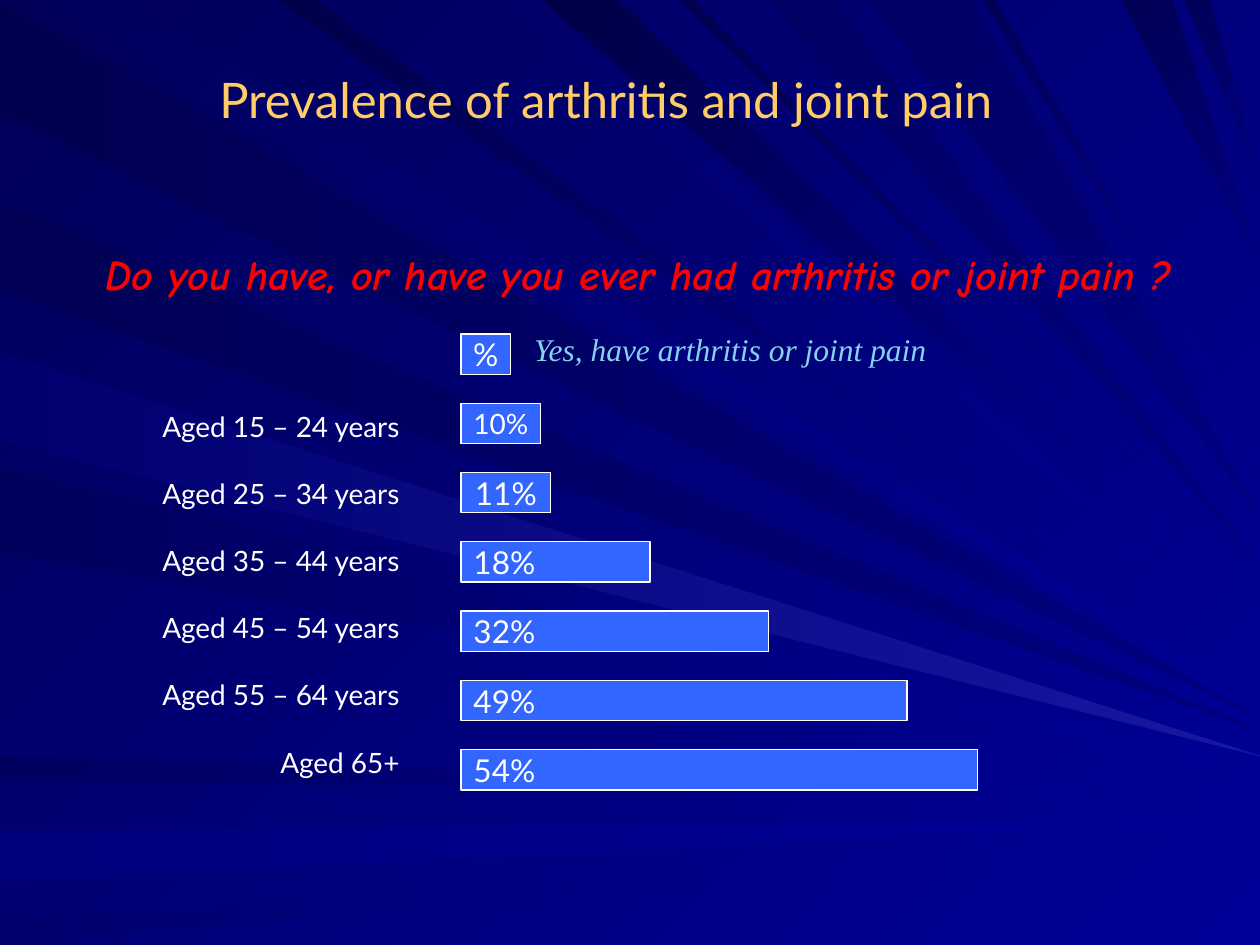
"""Builds the slide on how common arthritis and joint pain are by age."""
from dataclasses import dataclass
from typing import NamedTuple

from pptx import Presentation
from pptx.dml.color import RGBColor as Rgb
from pptx.enum.shapes import MSO_SHAPE as Kind
from pptx.enum.text import MSO_ANCHOR as Anchor, MSO_AUTO_SIZE as Auto, PP_ALIGN as Align
from pptx.util import Inches, Pt


class Style(NamedTuple):
    font: str
    size: int
    color: str
    bold: bool = False
    slant: bool = False


@dataclass(frozen=True)
class Theme:
    dark: str = "000058"
    mid: str = "000080"
    light: str = "000099"
    glow: str = "1717A2"
    bar: str = "3366FF"
    edge: str = "FFFFFF"
    title: Style = Style("Lato", 28, "FFCC66")
    ask: Style = Style("Comic Neue", 24, "FF0000", True, True)
    small: Style = Style("Lato", 16, "FFFFFF")
    value: Style = Style("Lato", 18, "FFFFFF")
    key: Style = Style("Times New Roman", 18, "86D1EC", False, True)


class Ray(NamedTuple):
    near: float
    far: float
    tip: float
    start: str
    end: str


class Bar(NamedTuple):
    text: str
    width: float
    style: Style
    align: Align = Align.LEFT


THEME = Theme()
WIDE, TALL = 10, 7.5
LEFT, TOP, STEP, HIGH = 3.66, 2.65, 0.55, 0.32

BARS = (
    Bar("%", 0.39, THEME.value, Align.CENTER),
    Bar("10%", 0.63, THEME.small, Align.CENTER),
    Bar("11%", 0.71, THEME.value, Align.CENTER),
    Bar("18%", 1.5, THEME.value),
    Bar("32%", 2.44, THEME.value),
    Bar("49%", 3.54, THEME.value),
    Bar("54%", 4.1, THEME.value),
)
AGES = (*(f"Aged {low} – {low + 9} years" for low in range(15, 65, 10)), "Aged 65+")

SIDE = (
    Ray(0, 0.9, 5.7, "000051", THEME.mid),
    Ray(6, 6.2, 6.3, "000061", THEME.light),
    Ray(6.6, 7, 6.5, "00007D", THEME.light),
    Ray(7.3, 7.5, 6.6, "00006F", THEME.light),
    Ray(1.6, 2.3, 5.8, "000055", THEME.mid),
    Ray(3.7, 4.4, 6.1, "00005D", THEME.light),
    Ray(2.8, 3.5, 6, "00006F", THEME.glow),
)
ROOF = (
    Ray(0.3, 1, 5.6, "00005D", THEME.light),
    Ray(2.2, 2.5, 5.5, "00004A", THEME.light),
    Ray(4, 4.2, 5.2, "00006B", THEME.light),
    Ray(4.3, 4.9, 4.9, "000047", THEME.light),
    Ray(5.4, 5.5, 4.6, "00004F", THEME.light),
    Ray(6.1, 6.6, 4.5, "000065", THEME.mid),
    Ray(6.9, 7.7, 4.1, "000065", THEME.mid),
    Ray(7.8, 7.9, 3.6, "000058", THEME.light),
    Ray(8.9, 9.3, 2.1, "000055", THEME.mid),
    Ray(9.4, 9.6, 1.4, "000059", THEME.mid),
)


def paint(fill, color: str) -> None:
    """Fill with one colour."""
    fill.solid()
    fill.fore_color.rgb = Rgb.from_string(color)


def blend(fill, start: str, end: str, angle: int) -> None:
    """Fill with a blend that runs clockwise by the angle."""
    fill.gradient()
    fill.gradient_angle = -angle % 360
    for stop, color in zip(fill.gradient_stops, (start, end)):
        stop.color.rgb = Rgb.from_string(color)


def add_ray(shapes, ray: Ray, roof: bool) -> None:
    """Draw one beam from the roof or the left side to its tip on the right."""
    ends = [(n, 0) if roof else (0, n) for n in (ray.near, ray.far)]
    first, *rest = [(Inches(x), Inches(y)) for x, y in (*ends, (WIDE, ray.tip))]
    pen = shapes.build_freeform(*first)
    pen.add_line_segments(rest, close=True)
    shape = pen.convert_to_shape()
    shape.shadow.inherit = False
    shape.line.fill.background()
    blend(shape.fill, ray.start, ray.end, 45 if roof else 0)


def write(shape, lines: tuple, style: Style, align=Align.LEFT, anchor=Anchor.TOP,
          fit=Auto.SHAPE_TO_FIT_TEXT, gap: float = 0) -> None:
    """Set the lines of a shape in one style."""
    frame = shape.text_frame
    frame.text = "\n".join(lines)
    frame.word_wrap = False
    frame.auto_size = fit
    frame.vertical_anchor = anchor
    for index, para in enumerate(frame.paragraphs):
        para.alignment = align
        if index:
            para.space_before = Pt(gap)
        font = para.font
        font.name, font.size = style.font, Pt(style.size)
        font.bold, font.italic = style.bold, style.slant
        font.color.rgb = Rgb.from_string(style.color)


def add_bar(shapes, bar: Bar, row: int) -> None:
    """Draw one bar on its row."""
    box = map(Inches, (LEFT, TOP + row * STEP, bar.width, HIGH))
    shape = shapes.add_shape(Kind.RECTANGLE, *box)
    shape.shadow.inherit = False
    paint(shape.fill, THEME.bar)
    shape.line.color.rgb = Rgb.from_string(THEME.edge)
    shape.line.width = Pt(0.75)
    write(shape, (bar.text,), bar.style, bar.align, Anchor.MIDDLE, Auto.NONE)


def add_text(shapes, box: tuple, lines: tuple, style: Style, **options) -> None:
    """Place a text box."""
    write(shapes.add_textbox(*map(Inches, box)), lines, style, **options)


def main() -> None:
    """Build and save the slide."""
    deck = Presentation()
    deck.slide_width, deck.slide_height = Inches(WIDE), Inches(TALL)
    slide = deck.slides.add_slide(deck.slide_layouts[5])
    shapes = slide.shapes
    blend(slide.background.fill, THEME.dark, THEME.light, 45)

    title = shapes.title
    title.left, title.top, title.width, title.height = map(Inches, (1.64, 0.5, 6.82, 0.57))
    write(title, ("Prevalence of arthritis and joint pain",), THEME.title)

    beams = shapes.add_group_shape()
    for rays, roof in ((SIDE[:-1], False), (ROOF, True), (SIDE[-1:], False)):
        for ray in rays:
            add_ray(beams.shapes, ray, roof)
    title._element.addprevious(beams._element)

    add_text(shapes, (0.74, 1.92, 8.66, 0.5),
             ("Do you have, or have you ever had arthritis or joint pain ?",), THEME.ask)
    for row, bar in enumerate(BARS):
        add_bar(shapes, bar, row)
    add_text(shapes, (1.12, 3.2, 2.15, 3.03), AGES, THEME.small, align=Align.RIGHT, gap=19.2)
    add_text(shapes, (4.14, 2.57, 3.34, 0.4), ("Yes, have arthritis or joint pain",), THEME.key)
    deck.save("out.pptx")


if __name__ == "__main__":
    main()
